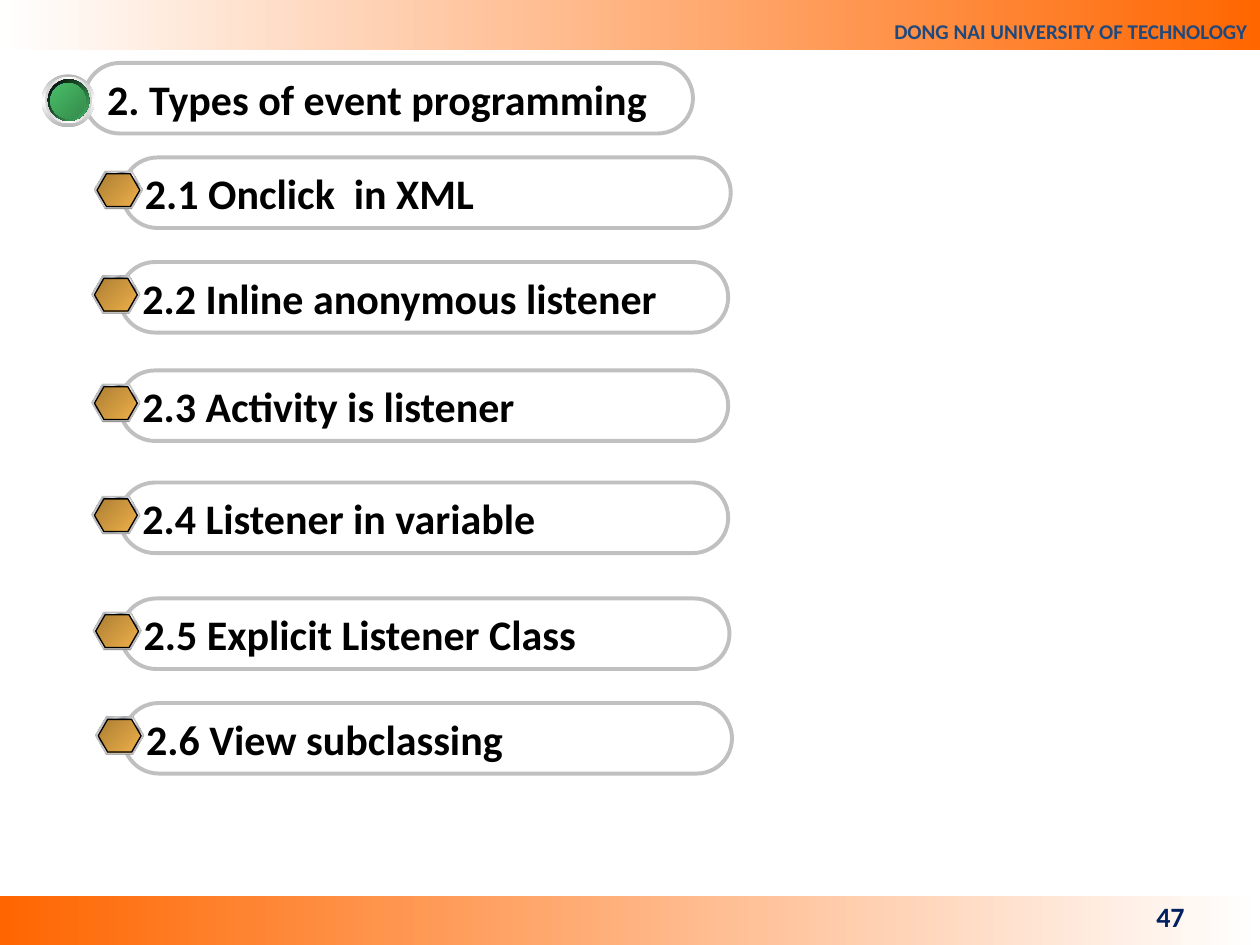
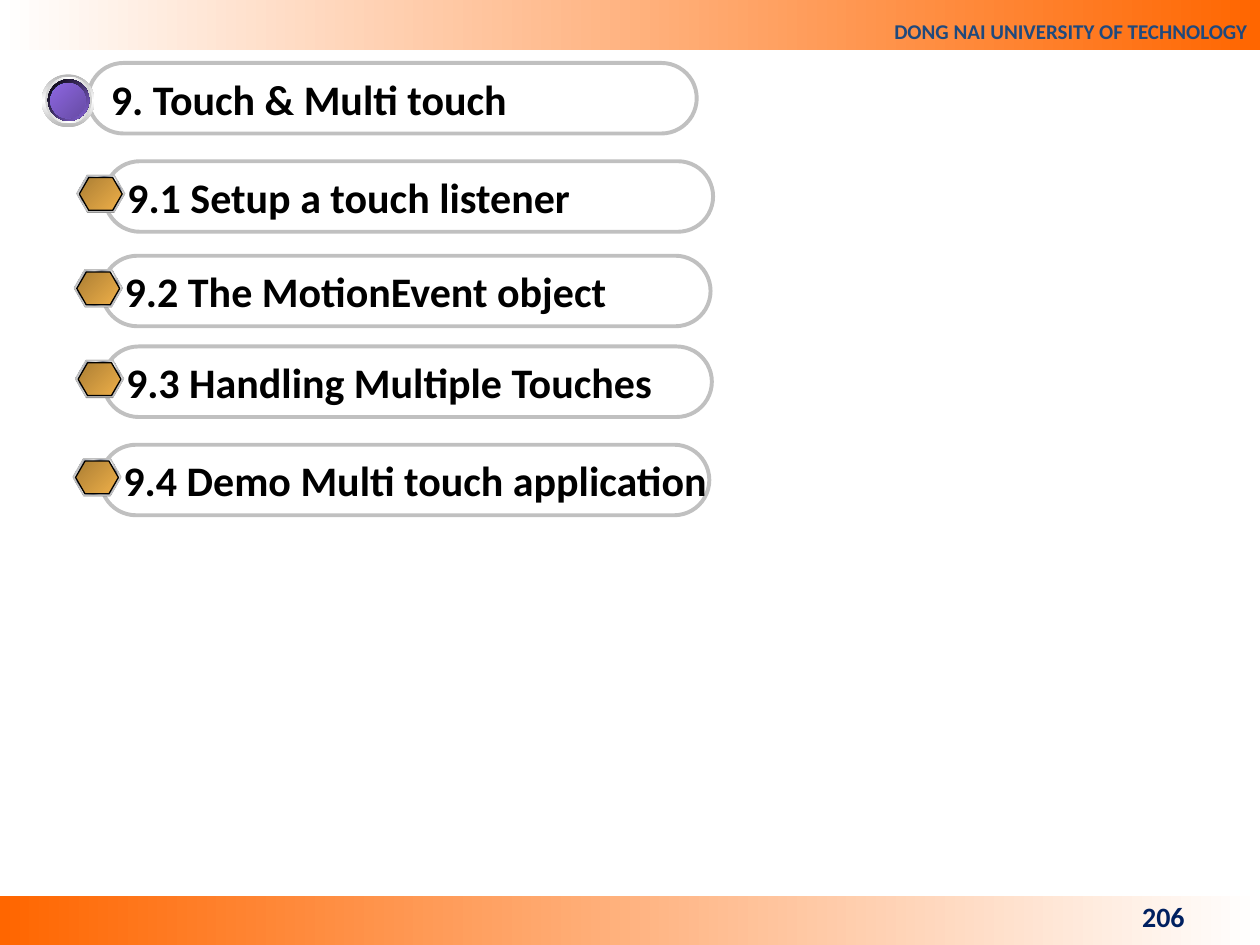
from lxml import etree
from pptx import Presentation
from pptx.dml.color import RGBColor
from pptx.enum.shapes import MSO_SHAPE
from pptx.enum.text import MSO_ANCHOR, PP_ALIGN
from pptx.oxml.ns import qn
from pptx.util import Inches, Pt

RECTANGLE = MSO_SHAPE.RECTANGLE
ROUNDED = MSO_SHAPE.ROUNDED_RECTANGLE
ELLIPSE = MSO_SHAPE.OVAL
HEXAGON = MSO_SHAPE.HEXAGON
LEFT, RIGHT = PP_ALIGN.LEFT, PP_ALIGN.RIGHT
MIDDLE, BOTTOM = MSO_ANCHOR.MIDDLE, MSO_ANCHOR.BOTTOM

FONT = "Calibri"
WHITE, BLACK, ORANGE = "FFFFFF", "000000", "FF6600"
SILVER, GRAY, NAVY, BLUE = "C0C0C0", "808080", "002060", "1F497D"
BAR_WIDTH, BAR_HEIGHT = 4.83, 0.56
STEEL = [(0, "E6E6E6"), (7, "7D8496"), (26, "E6E6E6"), (34, "7D8496"),
         (46, "E6E6E6"), (50, WHITE), (54, "E6E6E6"), (66, "7D8496"),
         (74, "E6E6E6"), (93, "7D8496"), (100, "E6E6E6")]
AMBER = [(0, "AB7E34"), (100, "EFB049")]

SECTIONS = [
    ("47", "2. Types of event programming", 0.67, "48BE67", "358B4B", [
        ("2.1 Onclick  in XML", 0.97, 1.25),
        ("2.2 Inline anonymous listener", 0.95, 2.08),
        ("2.3 Activity is listener", 0.95, 2.94),
        ("2.4 Listener in variable", 0.95, 3.83),
        ("2.5 Explicit Listener Class", 0.96, 4.75),
        ("2.6 View subclassing", 0.98, 5.58),
    ]),
    ("206", "9. Touch & Multi touch", 0.7, "8D67E1", "674BA4", [
        ("9.1 Setup a touch listener", 0.83, 1.28),
        ("9.2 The MotionEvent object", 0.81, 2.03),
        ("9.3 Handling Multiple Touches", 0.82, 2.75),
        ("9.4 Demo Multi touch application", 0.8, 3.53),
    ]),
]


def draw(shapes, kind, box, fill=None, angle=0, line=None, line_width=0.75):
    shape = shapes.add_shape(kind, *[Inches(length) for length in box])
    shape.shadow.inherit = False
    if fill is None:
        shape.fill.background()
    elif isinstance(fill, str):
        shape.fill.solid()
        shape.fill.fore_color.rgb = RGBColor.from_string(fill)
    else:
        shape.fill.gradient()
        shape.fill.gradient_angle = -angle % 360
        stops = shape._element.spPr.find(qn("a:gradFill")).find(qn("a:gsLst"))
        for stop in list(stops):
            stops.remove(stop)
        for position, color in fill:
            stop = etree.SubElement(stops, qn("a:gs"), pos=str(position * 1000))
            etree.SubElement(stop, qn("a:srgbClr"), val=color)
    if line:
        shape.line.color.rgb = RGBColor.from_string(line)
        shape.line.width = Pt(line_width)
    else:
        shape.line.fill.background()
    return shape


def write(shape, text, size, color, alignment=LEFT, anchor=MIDDLE, wrap=True):
    text_frame = shape.text_frame
    text_frame.text = text
    text_frame.word_wrap = wrap
    text_frame.vertical_anchor = anchor
    paragraph = text_frame.paragraphs[0]
    paragraph.alignment = alignment
    font = paragraph.runs[0].font
    font.name = FONT
    font.size = Pt(size)
    font.bold = True
    font.color.rgb = RGBColor.from_string(color)


presentation = Presentation()
presentation.slide_width = Inches(10)
presentation.slide_height = Inches(7.5)

for number, title, title_left, bright, dark, topics in SECTIONS:
    slide = presentation.slides.add_slide(presentation.slide_layouts[6])

    draw(slide.shapes, RECTANGLE, (0, 7.11, 10, 0.39), [(0, ORANGE), (100, WHITE)])
    header = draw(slide.shapes, RECTANGLE, (0, -0.06, 10, 0.46),
                  [(0, WHITE), (100, ORANGE)])
    write(header, "DONG NAI UNIVERSITY OF TECHNOLOGY", 12, BLUE, RIGHT, BOTTOM)
    header.text_frame.paragraphs[0].line_spacing = 1.8
    page_number = slide.shapes.add_textbox(
        Inches(7.17), Inches(7.07), Inches(2.33), Inches(0.4))
    write(page_number, number, 16, NAVY, RIGHT)

    title_shapes = slide.shapes.add_group_shape().shapes
    bars = [(title_shapes, title, title_left, 0.5)]
    for topic, left, top in topics:
        bars.append((slide.shapes.add_group_shape().shapes, topic, left, top))
    for shapes, label, left, top in bars:
        bar = draw(shapes, ROUNDED, (left, top, BAR_WIDTH, BAR_HEIGHT),
                   line=SILVER, line_width=2.25)
        bar.adjustments[0] = 0.5
        write(bar, label, 24, BLACK, wrap=False)

    rings = [
        (0.33, 0.59, 0.42, [(0, "B6B6B6"), (50, WHITE), (100, "B6B6B6")], 90),
        (0.36, 0.61, 0.37, [(0, "D1D1D1"), (50, WHITE), (100, "D1D1D1")], 0),
        (0.38, 0.63, 0.33, [(0, WHITE), (50, "6699FF"), (100, WHITE)], 45),
        (0.38, 0.63, 0.33, [(0, BLACK), (100, bright)], 45),
        (0.4, 0.66, 0.28, [(0, "4E75C3"), (50, "6699FF"), (100, "4E75C3")], 315),
        (0.4, 0.66, 0.28, [(0, bright), (100, dark)], 45),
    ]
    for left, top, diameter, stops, angle in rings:
        draw(title_shapes, ELLIPSE, (left, top, diameter, diameter), stops, angle)

    for shapes, label, left, top in bars[1:]:
        bullet_layers = [
            (-0.22, 0.12, 0.38, 0.29, GRAY, None),
            (-0.22, 0.11, 0.38, 0.29, STEEL, SILVER),
            (-0.2, 0.13, 0.34, 0.26, AMBER, BLACK),
        ]
        for shift, drop, width, height, fill, line in bullet_layers:
            hexagon = draw(shapes, HEXAGON, (left + shift, top + drop, width, height),
                           fill, 45, line)
            hexagon.adjustments[0] = 0.289

presentation.save("out.pptx")
